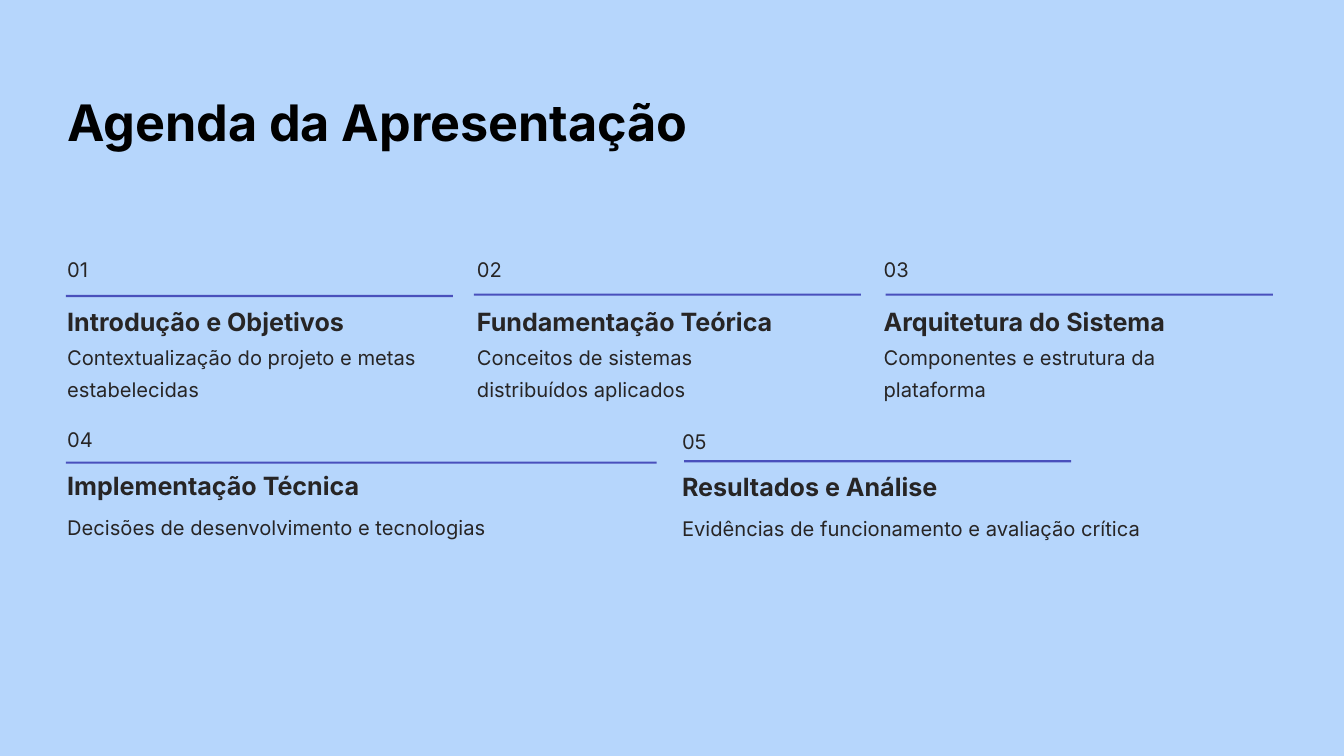
from pptx import Presentation
from pptx.dml.color import RGBColor
from pptx.enum import shapes, text
from pptx.util import Cm, Pt

FONT = "Inter"
INK = "272525"
RULE = "4950BC"
TOP = (47.9, 59.8, 34.7)
LOW = (53.9, 52.1, 41.7)

ITEMS = [
    ("01", "Introdução e Objetivos", "Contextualização do projeto e metas estabelecidas"),
    ("02", "Fundamentação Teórica", "Conceitos de sistemas distribuídos aplicados"),
    ("03", "Arquitetura do Sistema", "Componentes e estrutura da plataforma"),
    ("04", "Implementação Técnica", "Decisões de desenvolvimento e tecnologias"),
    ("05", "Resultados e Análise", "Evidências de funcionamento e avaliação crítica"),
]
RULES = [
    (2.49, 11.15, 14.63),
    (17.91, 11.1, 14.63),
    (33.48, 11.1, 14.63),
    (2.49, 17.45, 22.33),
    (25.86, 17.4, 14.63),
]
BOXES = [
    ((2.54, 8.94, 16.51, 11.43), [(0, TOP), (3, LOW)]),
    ((18.03, 8.94, 12.55, 6.71), [(1, TOP)]),
    ((33.4, 8.94, 14.12, 5.59), [(2, TOP)]),
    ((25.78, 15.24, 19.1, 5.08), [(4, LOW)]),
]


def color(code):
    """Turn a hex string into a colour."""
    return RGBColor.from_string(code)


def frame(shape):
    """Give a shape's text frame no margins, wrapping and a top anchor."""
    body = shape.text_frame
    body.margin_left = body.margin_top = body.margin_right = body.margin_bottom = 0
    body.word_wrap = True
    body.auto_size = text.MSO_AUTO_SIZE.NONE
    body.vertical_anchor = text.MSO_ANCHOR.TOP
    return body


def write(para, words, size, bold, pitch, ink=INK):
    """Fill a paragraph and style it."""
    para.text = words
    para.alignment = text.PP_ALIGN.LEFT
    para.line_spacing = Pt(pitch)
    para.space_before = para.space_after = Pt(0)
    para.font.name = FONT
    para.font.size = Pt(size)
    para.font.bold = bold
    para.font.color.rgb = color(ink)


def head(slide, words):
    """Place and format the title."""
    title = slide.shapes.title
    title.left, title.top, title.width, title.height = map(Cm, (2.54, 3.05, 24.82, 2.46))
    write(frame(title).paragraphs[0], words, 53.9, True, 75.5, "000000")


def rule(slide, left, top, width):
    """Draw a thin bar under an item number."""
    bar = slide.shapes.add_shape(
        shapes.MSO_SHAPE.RECTANGLE, Cm(left), Cm(top), Cm(width), Cm(0.08))
    bar.shadow.inherit = False
    bar.fill.solid()
    bar.fill.fore_color.rgb = color(RULE)
    bar.line.fill.background()


def column(slide, place, parts):
    """Write one or more agenda items in a text box."""
    body = frame(slide.shapes.add_textbox(*map(Cm, place)))
    para = body.paragraphs[0]
    for index, pitches in parts:
        for level, words in enumerate(ITEMS[index]):
            if para.text:
                para = body.add_paragraph()
            bold = level == 1
            write(para, words, 26.9 if bold else 21.6, bold, pitches[level])


def main():
    """Build the agenda slide."""
    deck = Presentation()
    deck.slide_width, deck.slide_height = Cm(50.8), Cm(28.58)
    slide = deck.slides.add_slide(deck.slide_layouts[5])
    slide.background.fill.solid()
    slide.background.fill.fore_color.rgb = color("B6D6FC")
    head(slide, "Agenda da Apresentação")
    for place in RULES:
        rule(slide, *place)
    for place, parts in BOXES:
        column(slide, place, parts)
    deck.save("out.pptx")


if __name__ == "__main__":
    main()
